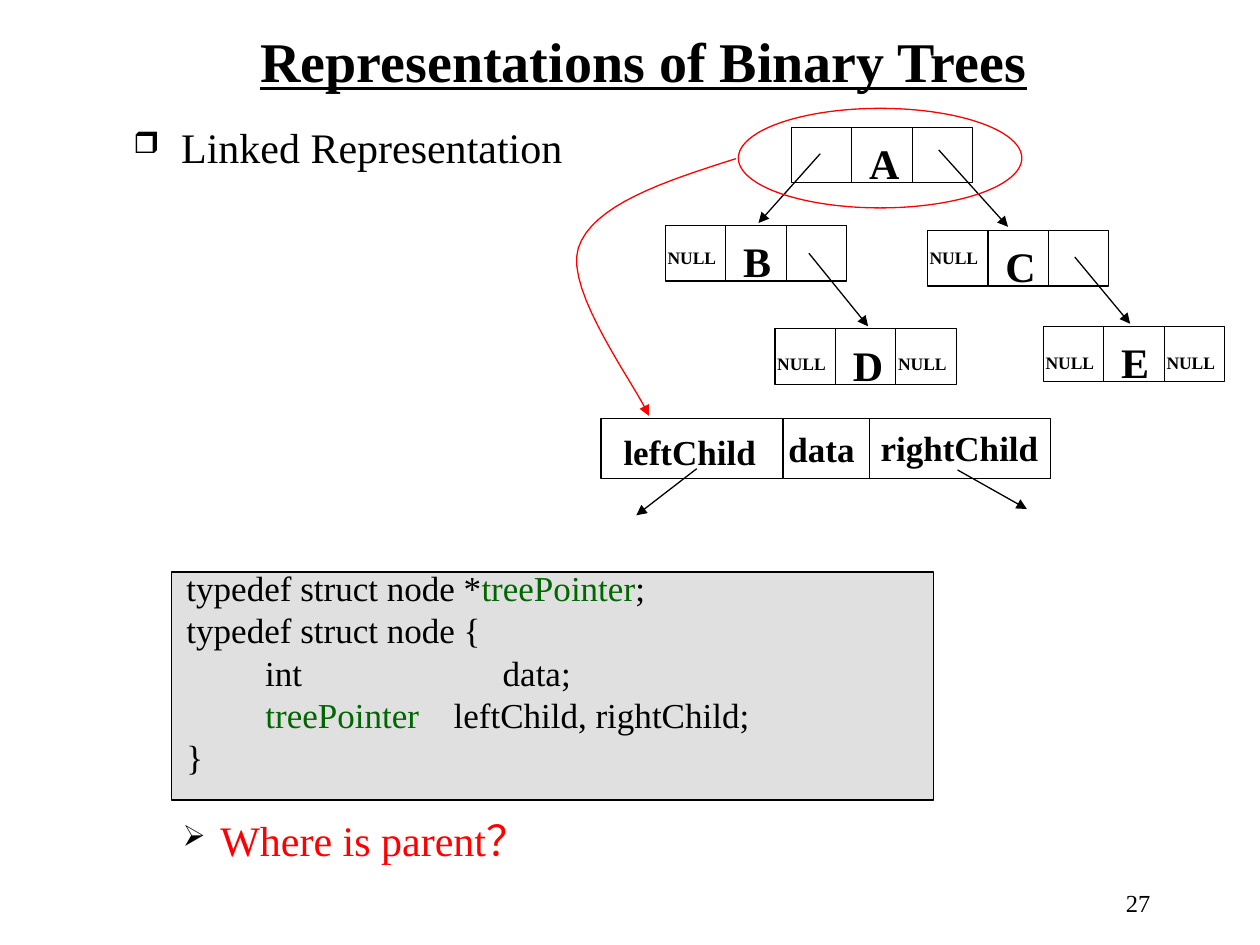
from pptx import Presentation
from pptx.dml.color import RGBColor
from pptx.enum.shapes import MSO_CONNECTOR, MSO_SHAPE
from pptx.enum.text import MSO_ANCHOR, PP_ALIGN
from pptx.oxml.ns import qn
from pptx.util import Inches, Pt
from lxml.etree import SubElement

BLACK = RGBColor(0x00, 0x00, 0x00)
RED = RGBColor(0xFF, 0x00, 0x00)
GREEN = RGBColor(0x00, 0x66, 0x00)
GREY = RGBColor(0xB2, 0xB2, 0xB2)

CELL_WIDTH, CELL_HEIGHT = 0.48, 0.44

# Node: letter, left, top, drop of the NULL labels, cells that hold NULL
NODES = [
    ("A", 6.28, 1.01, 0, ()),
    ("B", 5.28, 1.79, 0.11, (0,)),
    ("C", 7.36, 1.83, 0.07, (0,)),
    ("D", 6.15, 2.61, 0.13, (0, 2)),
    ("E", 8.28, 2.59, 0.14, (0, 2)),
]
POINTERS = [
    ((6.51, 1.22), (6.02, 1.77)),
    ((7.45, 1.19), (8.00, 1.80)),
    ((6.42, 2.01), (6.89, 2.59)),
    ((8.53, 2.04), (8.97, 2.57)),
    ((5.53, 3.72), (5.05, 4.09)),
    ((7.60, 3.73), (8.15, 4.04)),
]
# Field: name, cell left, cell width, label left, label top
FIELDS = [
    ("leftChild", 4.77, 1.44, 4.85, 3.34),
    ("data", 6.22, 0.68, 6.16, 3.32),
    ("rightChild", 6.90, 1.44, 6.89, 3.31),
]
# Code line: coloured pieces and an optional tab stop
CODE = [
    ([("typedef struct node *", BLACK), ("treePointer", GREEN), (";", BLACK)], None),
    ([("typedef struct node {", BLACK)], None),
    ([("         int \tdata;", BLACK)], 2.51),
    ([("         ", BLACK), ("treePointer", GREEN),
      ("\tleftChild, rightChild;", BLACK)], 2.12),
    ([("}", BLACK)], None),
]
CALLOUT_CURVES = [
    ((5.84, 1.26), (5.27, 1.44), (4.70, 1.63), (4.59, 1.97)),
    ((4.59, 1.97), (4.48, 2.31), (5.06, 3.08), (5.15, 3.30)),
]


def curve_points(curve, steps=16):
    """Points along a cubic curve, without its start."""
    for step in range(1, steps + 1):
        t = step / steps
        weights = ((1 - t) ** 3, 3 * t * (1 - t) ** 2, 3 * t * t * (1 - t), t ** 3)
        yield tuple(Inches(sum(w * point[axis] for w, point in zip(weights, curve)))
                    for axis in (0, 1))


class SlideBuilder:
    font_name = "Times New Roman"
    line_width = Pt(0.75)

    def __init__(self, slide):
        self.slide = slide

    def style_font(self, font, size, color=BLACK, bold=False):
        font.name = self.font_name
        font.size = Pt(size)
        font.bold = bold
        font.color.rgb = color

    def outline(self, shape, color):
        shape.shadow.inherit = False
        shape.fill.background()
        shape.line.color.rgb = color
        shape.line.width = self.line_width

    def arrowhead(self, shape):
        SubElement(shape.line._get_or_add_ln(), qn("a:tailEnd"), type="triangle")

    def title(self, text, left, top, width, height):
        title = self.slide.shapes.title
        title.left, title.top = Inches(left), Inches(top)
        title.width, title.height = Inches(width), Inches(height)
        frame = title.text_frame
        frame.text = text
        frame.vertical_anchor = MSO_ANCHOR.TOP
        frame.margin_top = Inches(0.09)
        paragraph = frame.paragraphs[0]
        paragraph.alignment = PP_ALIGN.CENTER
        font = paragraph.runs[0].font
        self.style_font(font, 32, bold=True)
        font.underline = True

    def label(self, text, left, top, width, size, color=BLACK, bold=False):
        height = 0.1 + size / 60
        box = self.slide.shapes.add_textbox(
            Inches(left), Inches(top), Inches(width), Inches(height))
        frame = box.text_frame
        frame.word_wrap = True
        frame.margin_top = Inches(0.05 + 0.0013 * size)
        frame.margin_right = 0
        frame.text = text
        paragraph = frame.paragraphs[0]
        self.style_font(paragraph.runs[0].font, size, color, bold)
        return paragraph

    def bullet(self, text, top, symbol, margin, indent, color=BLACK):
        paragraph = self.label(text, 0.96, top, 8.38, 24, color)
        properties = paragraph._p.get_or_add_pPr()
        properties.set("marL", str(Inches(margin)))
        properties.set("indent", str(-Inches(indent)))
        bullet_color = SubElement(properties, qn("a:buClr"))
        SubElement(bullet_color, qn("a:srgbClr"), val=str(BLACK))
        SubElement(properties, qn("a:buSzPct"), val="70000")
        SubElement(properties, qn("a:buChar"), char=symbol)

    def outlined_shape(self, kind, left, top, width, height, color=BLACK):
        shape = self.slide.shapes.add_shape(
            kind, Inches(left), Inches(top), Inches(width), Inches(height))
        self.outline(shape, color)
        return shape

    def arrow(self, start, end):
        connector = self.slide.shapes.add_connector(
            MSO_CONNECTOR.STRAIGHT, *(Inches(value) for value in start + end))
        connector.line.color.rgb = BLACK
        connector.line.width = self.line_width
        self.arrowhead(connector)
        SubElement(connector._element.spPr, qn("a:effectLst"))

    def curved_arrow(self, curves, color):
        start_x, start_y = curves[0][0]
        builder = self.slide.shapes.build_freeform(Inches(start_x), Inches(start_y))
        points = [point for curve in curves for point in curve_points(curve)]
        builder.add_line_segments(points, close=False)
        shape = builder.convert_to_shape()
        self.outline(shape, color)
        self.arrowhead(shape)

    def node(self, letter, left, top, null_drop, null_cells):
        for column in range(3):
            cell_left = left + column * CELL_WIDTH
            self.outlined_shape(MSO_SHAPE.RECTANGLE, cell_left, top,
                                CELL_WIDTH, CELL_HEIGHT)
            if column in null_cells:
                self.label("NULL", cell_left - 0.08, top + null_drop, 0.59, 10, bold=True)
        self.label(letter, left + CELL_WIDTH + 0.04, top, 0.45, 24, bold=True)

    def code_box(self, lines, left, top, width, height):
        box = self.outlined_shape(MSO_SHAPE.RECTANGLE, left, top, width, height)
        box.fill.solid()
        box.fill.fore_color.rgb = GREY
        fill_color = box._element.spPr.find(qn("a:solidFill"))[0]
        SubElement(fill_color, qn("a:alpha"), val="40000")
        frame = box.text_frame
        frame.vertical_anchor = MSO_ANCHOR.TOP
        frame.margin_left, frame.margin_top = Inches(0.12), Inches(0.02)
        for index, (pieces, tab_stop) in enumerate(lines):
            paragraph = frame.add_paragraph() if index else frame.paragraphs[0]
            paragraph.alignment = PP_ALIGN.LEFT
            paragraph.line_spacing = 0.8
            if index:
                paragraph.space_before = Pt(5)
            if tab_stop:
                tabs = SubElement(paragraph._p.get_or_add_pPr(), qn("a:tabLst"))
                SubElement(tabs, qn("a:tab"), pos=str(Inches(tab_stop)), algn="l")
            for text, color in pieces:
                run = paragraph.add_run()
                run.text = text
                self.style_font(run.font, 20, color)


def main():
    presentation = Presentation()
    presentation.slide_width, presentation.slide_height = Inches(10), Inches(7.5)
    slide = presentation.slides.add_slide(presentation.slide_layouts[5])
    builder = SlideBuilder(slide)

    # Heading and bullets
    builder.title("Representations of Binary Trees", 1.81, 0.12, 6.6, 0.64)
    builder.bullet("Linked Representation", 0.88, "❒", 0.38, 0.38)
    builder.bullet("Where is parent？", 6.38, "➢", 0.69, 0.3, RED)

    # Struct declaration
    builder.code_box(CODE, 1.36, 4.54, 6.05, 1.81)

    # Tree nodes and the enlarged node
    for node in NODES:
        builder.node(*node)
    for name, left, width, label_left, label_top in FIELDS:
        builder.outlined_shape(MSO_SHAPE.RECTANGLE, left, 3.32, width, 0.48)
        builder.label(name, label_left, label_top, width + 0.05, 20, bold=True)
    for start, end in POINTERS:
        builder.arrow(start, end)

    # Callout from the root to the enlarged node
    builder.outlined_shape(MSO_SHAPE.OVAL, 5.86, 0.86, 2.25, 0.79, RED)
    builder.curved_arrow(CALLOUT_CURVES, RED)

    # Page number
    page_number = builder.label("27", 7.15, 6.98, 1.98, 14)
    page_number.alignment = PP_ALIGN.RIGHT

    presentation.save("out.pptx")


if __name__ == "__main__":
    main()
